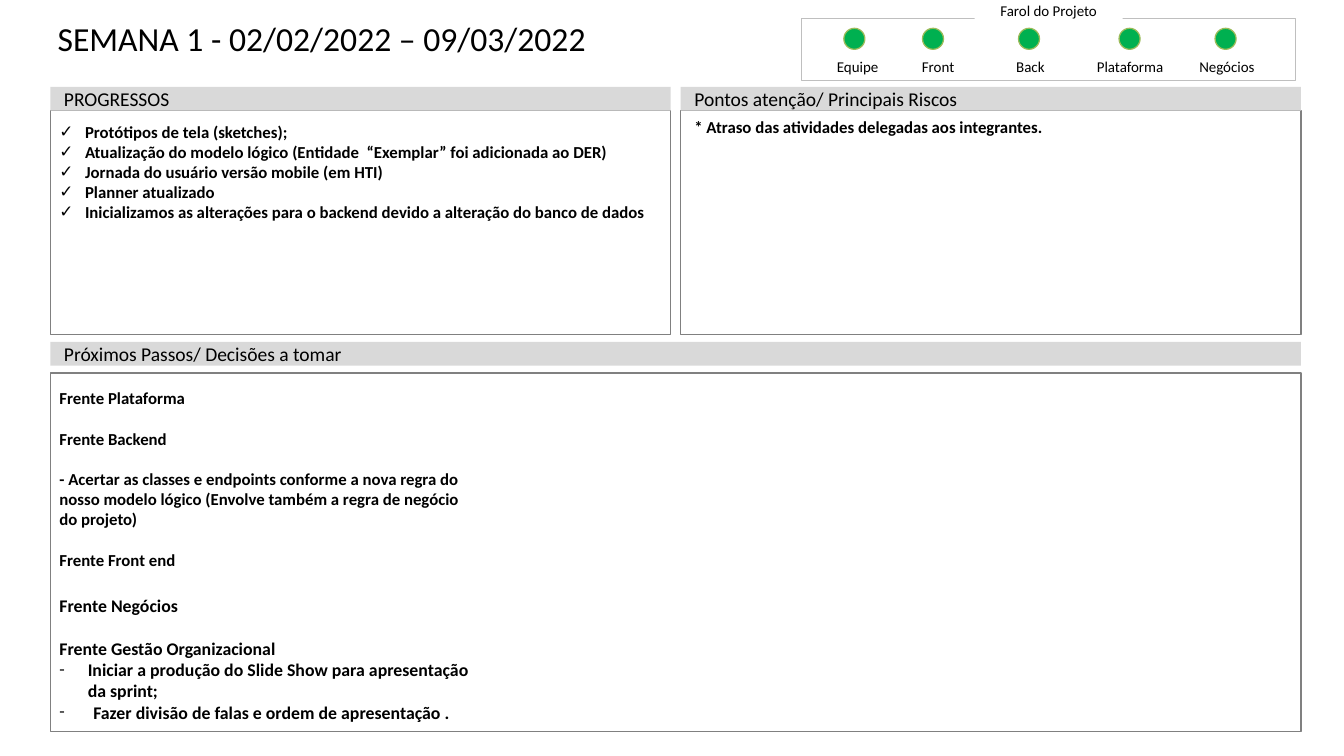
from collections import namedtuple

from pptx import Presentation
from pptx.dml.color import RGBColor
from pptx.enum.shapes import MSO_SHAPE
from pptx.enum.text import MSO_ANCHOR, MSO_AUTO_SIZE, PP_ALIGN
from pptx.oxml.ns import qn
from pptx.util import Inches, Pt
from lxml.etree import SubElement

Box = namedtuple("Box", "left top width height")
Item = namedtuple("Item", "text size gap bullet indent", defaults=(13.2, 0, None, 0))

FONT = "Calibri"
BLACK, WHITE, GREEN, OLIVE = "000000", "FFFFFF", "00B050", "9BBB59"
BAR_GREY, PANEL_GREY, FRAME_GREY = "D9D9D9", "808080", "BFBFBF"

SLIDE_WIDTH, SLIDE_HEIGHT = 14.7, 8.27
LEFT, GUTTER = 0.55, 0.11
FULL_WIDTH = 13.68
HALF_WIDTH = (FULL_WIDTH - GUTTER) / 2
BAR_HEIGHT = 0.26
LIGHT_SIZE = 0.23

PROGRESS = [Item(text, bullet="✓", indent=0.28) for text in (
    "Protótipos de tela (sketches);",
    "Atualização do modelo lógico (Entidade  “Exemplar” foi adicionada ao DER)",
    "Jornada do usuário versão mobile (em HTI)",
    "Planner atualizado",
    "Inicializamos as alterações para o backend devido a alteração do banco de dados",
)]
RISKS = [Item("* Atraso das atividades delegadas aos integrantes.")]
NEXT_STEPS = [
    Item("Frente Plataforma"),
    Item("Frente Backend", gap=16),
    Item("- Acertar as classes e endpoints conforme a nova regra do nosso modelo "
         "lógico (Envolve também a regra de negócio do projeto)", gap=16),
    Item("Frente Front end", gap=16),
    Item("Frente Negócios", 14, 19.5),
    Item("Frente Gestão Organizacional", 14, 17),
    Item("Iniciar a produção do Slide Show para apresentação da sprint;", 14,
         bullet="-", indent=0.31),
    Item("Fazer divisão de falas e ordem de apresentação .", 14, bullet="-", indent=0.37),
]
# Name, left of its light and left of its label, from the frame's left edge
LIGHTS = [("Equipe", 0.46, 0.12), ("Front", 1.32, 1.0), ("Back", 2.37, 2.01),
          ("Plataforma", 3.47, 3.1), ("Negócios", 4.52, 4.16)]


def color(value):
    return RGBColor.from_string(value)


def place(shape, box):
    shape.left, shape.top, shape.width, shape.height = (Inches(side) for side in box)


def outline(shape, line, weight):
    shape.line.color.rgb = color(line)
    shape.line.width = Pt(weight)


def add_shape(slide, kind, box, fill=None):
    shape = slide.shapes.add_shape(kind, *(Inches(side) for side in box))
    shape.shadow.inherit = False
    shape.line.fill.background()
    if fill:
        shape.fill.solid()
        shape.fill.fore_color.rgb = color(fill)
    else:
        shape.fill.background()
    return shape


def set_frame(frame, insets, anchor, wrap=True):
    frame.margin_left, frame.margin_top, frame.margin_right, frame.margin_bottom = (
        Inches(inset) for inset in insets)
    frame.auto_size = MSO_AUTO_SIZE.NONE
    frame.vertical_anchor = anchor
    frame.word_wrap = wrap


def format_runs(paragraph, size, bold=False):
    for run in paragraph.runs:
        run.font.name = FONT
        run.font.size = Pt(size)
        run.font.bold = bold
        run.font.color.rgb = color(BLACK)


def write_line(frame, text, size, align=PP_ALIGN.LEFT):
    frame.text = text
    frame.paragraphs[0].alignment = align
    format_runs(frame.paragraphs[0], size)


def set_bullet(paragraph, bullet, indent):
    properties = paragraph._p.get_or_add_pPr()
    properties.set("marL", str(Inches(indent)))
    properties.set("indent", str(-Inches(indent)))
    if bullet:
        SubElement(properties, qn("a:buFont"), typeface=FONT)
        SubElement(properties, qn("a:buChar"), char=bullet)
    else:
        SubElement(properties, qn("a:buNone"))


def write_items(frame, items):
    frame.text = "\n".join(item.text for item in items)
    for paragraph, item in zip(frame.paragraphs, items):
        set_bullet(paragraph, item.bullet, item.indent)
        paragraph.alignment = PP_ALIGN.LEFT
        paragraph.space_before = Pt(item.gap)
        format_runs(paragraph, item.size, bold=True)


def add_title(title, box):
    place(title, box)
    set_frame(title.text_frame, (0.12, 0, 0.12, 0), MSO_ANCHOR.TOP)
    write_line(title.text_frame, "SEMANA 1 - 02/02/2022 – 09/03/2022", 26.5)


def add_bar(slide, heading, box):
    bar = add_shape(slide, MSO_SHAPE.RECTANGLE, box, BAR_GREY)
    set_frame(bar.text_frame, (0.15, 0.07, 0.15, 0.07), MSO_ANCHOR.MIDDLE)
    write_line(bar.text_frame, heading, 15.4)


def add_panel(slide, panel, heading, items, box, gap=0, insets=(0.1, 0.12, 0.1, 0.05),
              anchor=MSO_ANCHOR.TOP, columns=1):
    """Heading bar over a framed list; gap separates the two."""
    add_bar(slide, heading, box._replace(height=BAR_HEIGHT))
    offset = BAR_HEIGHT + gap
    place(panel, box._replace(top=box.top + offset, height=box.height - offset))
    outline(panel, PANEL_GREY, 1)
    set_frame(panel.text_frame, insets, anchor)
    panel.text_frame._txBody.bodyPr.set("numCol", str(columns))
    write_items(panel.text_frame, items)


def add_label(slide, text, box, fill=None):
    label = add_shape(slide, MSO_SHAPE.RECTANGLE, box, fill)
    set_frame(label.text_frame, (0.06, 0.06, 0.06, 0), MSO_ANCHOR.BOTTOM, wrap=False)
    write_line(label.text_frame, text, 11.8, PP_ALIGN.CENTER)


def add_status_lights(slide, box):
    outline(add_shape(slide, MSO_SHAPE.RECTANGLE, box), FRAME_GREY, 0.5)
    for name, light_left, label_left in LIGHTS:
        light = add_shape(slide, MSO_SHAPE.OVAL, Box(
            box.left + light_left, box.top + 0.11, LIGHT_SIZE, LIGHT_SIZE), GREEN)
        outline(light, OLIVE, 1)
        add_label(slide, name, Box(box.left + label_left, box.top + 0.43, 0.98, 0.2))
    add_label(slide, "Farol do Projeto",
              Box(box.left + 0.35 * box.width, box.top - 0.22, 0.3 * box.width, 0.23), WHITE)


def main():
    presentation = Presentation()
    presentation.slide_width = Inches(SLIDE_WIDTH)
    presentation.slide_height = Inches(SLIDE_HEIGHT)
    slide = presentation.slides.add_slide(presentation.slide_layouts.get_by_name("Two Content"))
    title, progress, next_steps = slide.placeholders

    add_title(title, Box(0.51, 0.2, 0.9 * SLIDE_WIDTH, 0.88))
    add_status_lights(slide, Box(8.77, 0.2, 5.4, 0.68))

    progress_box = Box(LEFT, 0.95, HALF_WIDTH, 2.71)
    add_panel(slide, progress, "PROGRESSOS", PROGRESS, progress_box)

    risks_box = progress_box._replace(left=LEFT + HALF_WIDTH + GUTTER)
    risks = add_shape(slide, MSO_SHAPE.RECTANGLE, risks_box)
    add_panel(slide, risks, "Pontos atenção/ Principais Riscos", RISKS, risks_box,
              insets=(0.15, 0.07, 0.1, 0.05))

    add_panel(slide, next_steps, "Próximos Passos/ Decisões a tomar", NEXT_STEPS,
              Box(LEFT, 3.74, FULL_WIDTH, 4.26), gap=0.08,
              anchor=MSO_ANCHOR.MIDDLE, columns=3)
    presentation.save("out.pptx")


if __name__ == "__main__":
    main()
